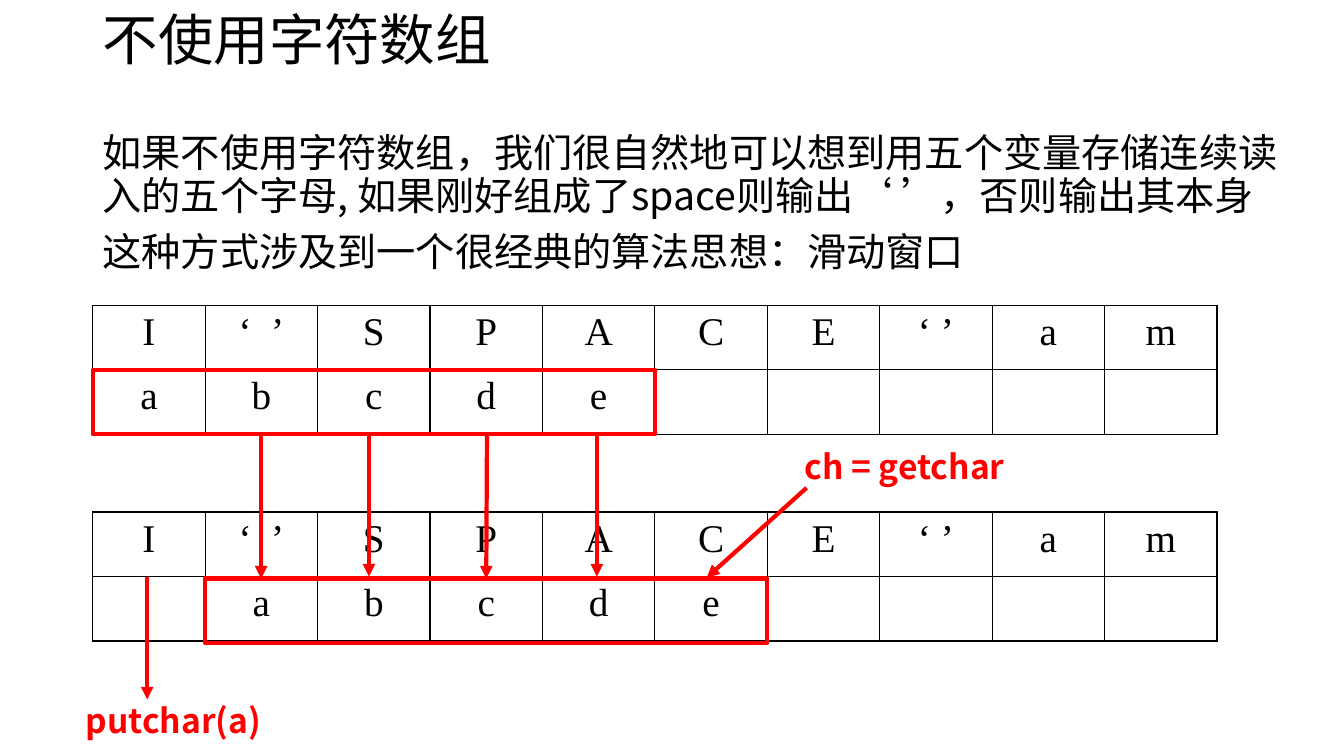
"""Build the slide that explains a sliding window over characters."""
from lxml import etree
from pptx import Presentation
from pptx import util as u
from pptx.dml.color import RGBColor
from pptx.enum import shapes, text
from pptx.oxml import ns

BLACK, RED = "000000", "FF0000"
SANS, SERIF = "Noto Sans CJK SC", "Times New Roman"
LETTERS = ["I", "‘  ’", "S", "P", "A", "C", "E", "‘ ’", "a", "m"]
VARIABLES = ["a", "b", "c", "d", "e"]
LEFT, COLUMN, ROW = 0.92, 1.115, 0.64


def color(value):
    """Return the colour for a hex string."""
    return RGBColor.from_string(value)


def set_font(paragraph, name, size, value=BLACK, bold=False):
    """Set one font for Latin and East Asian text of a paragraph."""
    font = paragraph.font
    font.name, font.size, font.bold = name, u.Pt(size), bold
    font.color.rgb = color(value)
    properties = paragraph._p.pPr.find(ns.qn("a:defRPr"))
    etree.SubElement(properties, ns.qn("a:ea"), typeface=name)


def add_text(slide, box, lines, name, size, value=BLACK, bold=False,
             spacing=1.0, before=0, anchor=text.MSO_ANCHOR.TOP):
    """Add a wrapped text box with one paragraph per line."""
    frame = slide.shapes.add_textbox(*map(u.Inches, box)).text_frame
    frame.word_wrap = True
    frame.vertical_anchor = anchor
    frame.text = "\n".join(lines)
    for paragraph in frame.paragraphs:
        paragraph.line_spacing = spacing
        paragraph.space_before = u.Pt(before)
        set_font(paragraph, name, size, value, bold)


def add_borders(cell):
    """Draw a thin black line on all four sides of a cell."""
    properties = cell._tc.get_or_add_tcPr()
    for side in ("lnL", "lnR", "lnT", "lnB"):
        line = etree.SubElement(properties, ns.qn(f"a:{side}"), w=str(u.Pt(1)))
        fill = etree.SubElement(line, ns.qn("a:solidFill"))
        etree.SubElement(fill, ns.qn("a:srgbClr"), val=BLACK)


def add_letter_table(slide, top, offset):
    """Add the letters with the variables below, shifted by offset columns."""
    count = len(LETTERS)
    variables = [""] * offset + VARIABLES
    variables += [""] * (count - len(variables))
    table = slide.shapes.add_table(
        2, count, u.Inches(LEFT), u.Inches(top),
        u.Inches(COLUMN * count), u.Inches(2 * ROW)).table
    table.first_row = table.horz_banding = False
    for row, values in zip(table.rows, (LETTERS, variables)):
        for cell, value in zip(row.cells, values):
            add_borders(cell)
            cell.fill.background()
            cell.text = value
            paragraph = cell.text_frame.paragraphs[0]
            paragraph.alignment = text.PP_ALIGN.CENTER
            set_font(paragraph, SERIF, 28)


def add_window(slide, top, offset):
    """Add the red frame around the five variables."""
    window = slide.shapes.add_shape(
        shapes.MSO_SHAPE.RECTANGLE, u.Inches(LEFT + offset * COLUMN),
        u.Inches(top), u.Inches(COLUMN * len(VARIABLES)), u.Inches(ROW))
    window.shadow.inherit = False
    window.fill.background()
    window.line.color.rgb = color(RED)
    window.line.width = u.Pt(3)
    return window


def add_arrow(slide, start, end):
    """Add a red arrow between two points."""
    arrow = slide.shapes.add_connector(
        shapes.MSO_CONNECTOR.STRAIGHT, *map(u.Inches, start + end))
    arrow.line.color.rgb = color(RED)
    arrow.line.width = u.Pt(3)
    etree.SubElement(arrow.line._get_or_add_ln(), ns.qn("a:tailEnd"), type="triangle")
    etree.SubElement(arrow._element.spPr, ns.qn("a:effectLst"))
    return arrow


def main():
    """Build and save the slide."""
    presentation = Presentation()
    presentation.slide_width = u.Inches(13.33)
    presentation.slide_height = u.Inches(7.5)
    slide = presentation.slides.add_slide(presentation.slide_layouts[6])

    add_text(slide, (LEFT, 0.1, 8.61, 0.64), ["不使用字符数组"], "Arial", 39.6,
             spacing=0.9, anchor=text.MSO_ANCHOR.MIDDLE)
    add_text(slide, (LEFT, 1.28, 12.02, 5.48), [
        "如果不使用字符数组，我们很自然地可以想到用五个变量存储连续读入的五个字母, "
        "如果刚好组成了space则输出‘ ’，否则输出其本身",
        "这种方式涉及到一个很经典的算法思想：滑动窗口",
    ], SANS, 28, spacing=0.9, before=10)

    add_letter_table(slide, 3.03, 0)
    add_letter_table(slide, 5.08, 1)
    add_window(slide, 3.67, 0)
    shifted_window = add_window(slide, 5.74, 1)

    add_arrow(slide, (2.59, 4.31), (2.59, 5.74))
    shift_arrows = [add_arrow(slide, (x, 4.29), (x, 5.72)) for x in (3.66, 4.83, 5.92)]
    shift_arrows[1].end_connect(shifted_window, 0)
    add_arrow(slide, (8, 4.84), (7.01, 5.73))
    add_arrow(slide, (1.46, 5.72), (1.46, 6.94))

    for label, left, top in (("ch = getchar", 7.88, 4.37), ("putchar(a)", 0.75, 6.89)):
        add_text(slide, (left, top, 2.57, 0.5), [label], SANS, 24, RED, bold=True)
    presentation.save("out.pptx")


if __name__ == "__main__":
    main()
